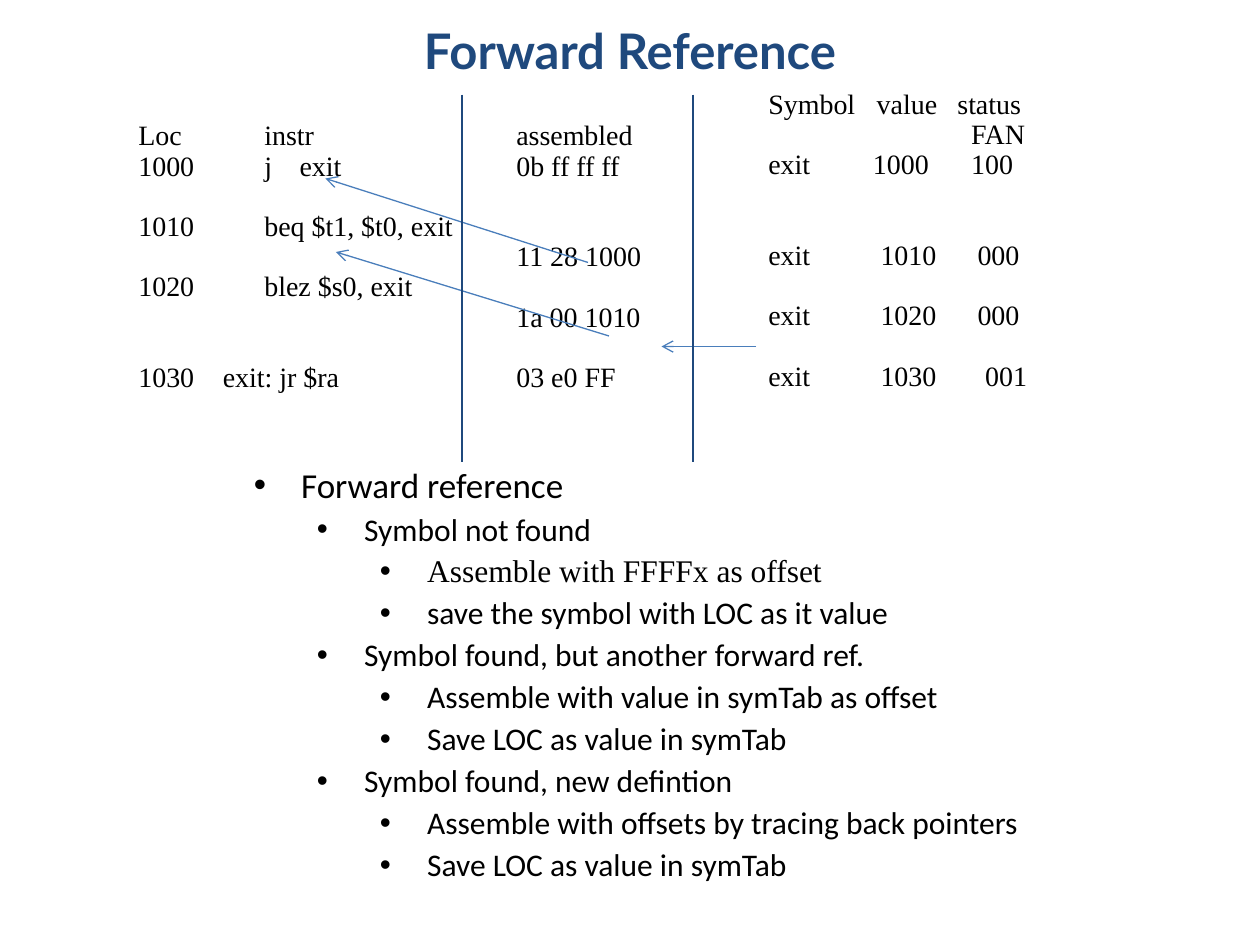
import dataclasses

import pptx
import pptx.dml.color
import pptx.enum.shapes
import pptx.enum.text
import pptx.oxml
import pptx.oxml.ns
import pptx.util
from lxml import etree

BLACK = pptx.dml.color.RGBColor(0x00, 0x00, 0x00)
NAVY = pptx.dml.color.RGBColor(0x1F, 0x49, 0x7D)
BLUE = pptx.dml.color.RGBColor(0x4A, 0x7E, 0xBB)
SERIF, SANS, TITLE_FONT = "Times New Roman", "Calibri", "Lato"
LISTING_SIZE, LISTING_PITCH = 16, 17.25  # points

# The slide is a grid of 120 columns by 90 rows, 12 to the inch
SLIDE_WIDTH, SLIDE_HEIGHT = pptx.util.Inches(10), pptx.util.Inches(7.5)
COLUMN, ROW = SLIDE_WIDTH / 120, SLIDE_HEIGHT / 90


@dataclasses.dataclass(frozen=True)
class Area:
    column: float
    row: float
    columns: float
    rows: float


@dataclasses.dataclass(frozen=True)
class ListingRow:
    cells: tuple[str, ...]
    stops: tuple[float, ...]  # inches from the text edge, one per later cell
    skipped: int = 0  # empty lines above


@dataclasses.dataclass(frozen=True)
class Bullet:
    level: int
    text: str
    font: str = SANS


@dataclasses.dataclass(frozen=True)
class Rule:
    start: tuple[float, float]
    end: tuple[float, float]
    color: pptx.dml.color.RGBColor
    arrow: bool = False


TITLE_AREA = Area(9, 2, 102, 8.5)
PROGRAM_AREA = Area(12, 11, 55, 30)
SYMBOL_AREA = Area(72, 8, 28, 33)
NOTES_AREA = Area(23, 44, 76, 41)

PROGRAM = (
    ListingRow(("Loc", "instr", "assembled"), (1, 3)),
    ListingRow(("1000", "j", "exit", "0b ff ff ff"), (1, 1.28, 3)),
    ListingRow(("1010", "beq $t1, $t0, exit"), (1,), 1),
    ListingRow(("", "11 28 1000"), (3,)),
    ListingRow(("1020", "blez $s0, exit"), (1,)),
    ListingRow(("", "1a 00 1010"), (3,)),
    ListingRow(("1030", "exit: jr $ra", "03 e0 FF"), (0.67, 3), 1),
)
SYMBOLS = (
    ListingRow(("Symbol", "value", "status"), (0.86, 1.5)),
    ListingRow(("", "FAN"), (1.61,)),
    ListingRow(("exit", "1000", "100"), (0.83, 1.61)),
    ListingRow(("exit", "1010", "000"), (0.89, 1.66), 2),
    ListingRow(("exit", "1020", "000"), (0.89, 1.66), 1),
    ListingRow(("exit", "1030", "001"), (0.89, 1.72), 1),
)
NOTES = (
    Bullet(0, "Forward reference"),
    Bullet(1, "Symbol not found"),
    Bullet(2, "Assemble with FFFFx as offset", SERIF),
    Bullet(2, "save the symbol with LOC as it value"),
    Bullet(1, "Symbol found, but another forward ref."),
    Bullet(2, "Assemble with value in symTab as offset"),
    Bullet(2, "Save LOC as value in symTab"),
    Bullet(1, "Symbol found, new defintion"),
    Bullet(2, "Assemble with offsets by tracing back pointers"),
    Bullet(2, "Save LOC as value in symTab"),
)
ARROWS = (
    Rule((72, 33), (63, 33), BLUE, True),
    Rule((58, 32), (32, 24), BLUE, True),
    Rule((56, 25), (31, 17), BLUE, True),
)
DIVIDERS = tuple(Rule((column, 9), (column, 44), NAVY) for column in (66, 44))


def across(columns: float) -> int:
    return round(columns * COLUMN)


def down(rows: float) -> int:
    return round(rows * ROW)


def add_element(parent, tag: str, **attributes: str):
    return etree.SubElement(parent, pptx.oxml.ns.qn(tag), **attributes)


def add_frame(slide, area: Area):
    box = slide.shapes.add_textbox(
        across(area.column), down(area.row), across(area.columns), down(area.rows)
    )
    box.text_frame.word_wrap = True
    return box.text_frame


def next_para(frame, index: int):
    para = frame.paragraphs[0] if index == 0 else frame.add_paragraph()
    para.line_spacing = 0.9
    return para


def add_span(para, text: str, font: str, size: float, color=BLACK, bold=False) -> None:
    span = para.add_run()
    span.text = text
    span.font.name = font
    span.font.size = pptx.util.Pt(size)
    span.font.color.rgb = color
    span.font.bold = bold


def draw_listing(slide, area: Area, rows: tuple[ListingRow, ...]) -> None:
    frame = add_frame(slide, area)
    for index, row in enumerate(rows):
        para = next_para(frame, index)
        if row.skipped:
            para.space_before = pptx.util.Pt(row.skipped * LISTING_PITCH)
        tabs = add_element(para._p.get_or_add_pPr(), "a:tabLst")
        for stop in row.stops:
            add_element(tabs, "a:tab", pos=str(pptx.util.Inches(stop)), algn="l")
        for place, cell in enumerate(row.cells):
            text = "\t" + cell if place else cell
            if text:
                add_span(para, text, SERIF, LISTING_SIZE)


def draw_bullets(slide, area: Area, bullets: tuple[Bullet, ...]) -> None:
    frame = add_frame(slide, area)
    hanging = pptx.util.Inches(0.375)
    for index, bullet in enumerate(bullets):
        para = next_para(frame, index)
        para.level = bullet.level
        if index:
            para.space_before = pptx.util.Pt(4.5)
        properties = para._p.get_or_add_pPr()
        properties.set("marL", str(hanging + pptx.util.Inches(0.5 * bullet.level)))
        properties.set("indent", str(-hanging))
        bullet_color = add_element(properties, "a:buClr")
        add_element(bullet_color, "a:srgbClr", val=str(BLACK))
        add_element(properties, "a:buFont", typeface="Arial")
        add_element(properties, "a:buChar", char="•")
        add_span(para, bullet.text, bullet.font, 18 if bullet.level else 20)


def draw_rule(slide, rule: Rule) -> None:
    line = slide.shapes.add_connector(
        pptx.enum.shapes.MSO_CONNECTOR.STRAIGHT,
        across(rule.start[0]), down(rule.start[1]),
        across(rule.end[0]), down(rule.end[1]),
    )
    line.line.color.rgb = rule.color
    line.line.width = pptx.util.Pt(0.75)
    if rule.arrow:
        add_element(line.line._get_or_add_ln(), "a:tailEnd", type="arrow")
    add_element(line._element.spPr, "a:effectLst")


def draw_title(slide, area: Area, text: str) -> None:
    para = next_para(add_frame(slide, area), 0)
    para.alignment = pptx.enum.text.PP_ALIGN.CENTER
    add_span(para, text, TITLE_FONT, 28, NAVY, bold=True)


def main() -> None:
    deck = pptx.Presentation()
    deck.slide_width, deck.slide_height = SLIDE_WIDTH, SLIDE_HEIGHT
    page = deck.slides.add_slide(deck.slide_layouts[6])

    # Program listing, symbol table and notes
    draw_listing(page, PROGRAM_AREA, PROGRAM)
    draw_listing(page, SYMBOL_AREA, SYMBOLS)
    draw_bullets(page, NOTES_AREA, NOTES)

    # Back pointers, title and column dividers
    for arrow in ARROWS:
        draw_rule(page, arrow)
    draw_title(page, TITLE_AREA, "Forward Reference")
    for divider in DIVIDERS:
        draw_rule(page, divider)

    deck.save("out.pptx")


if __name__ == "__main__":
    main()
